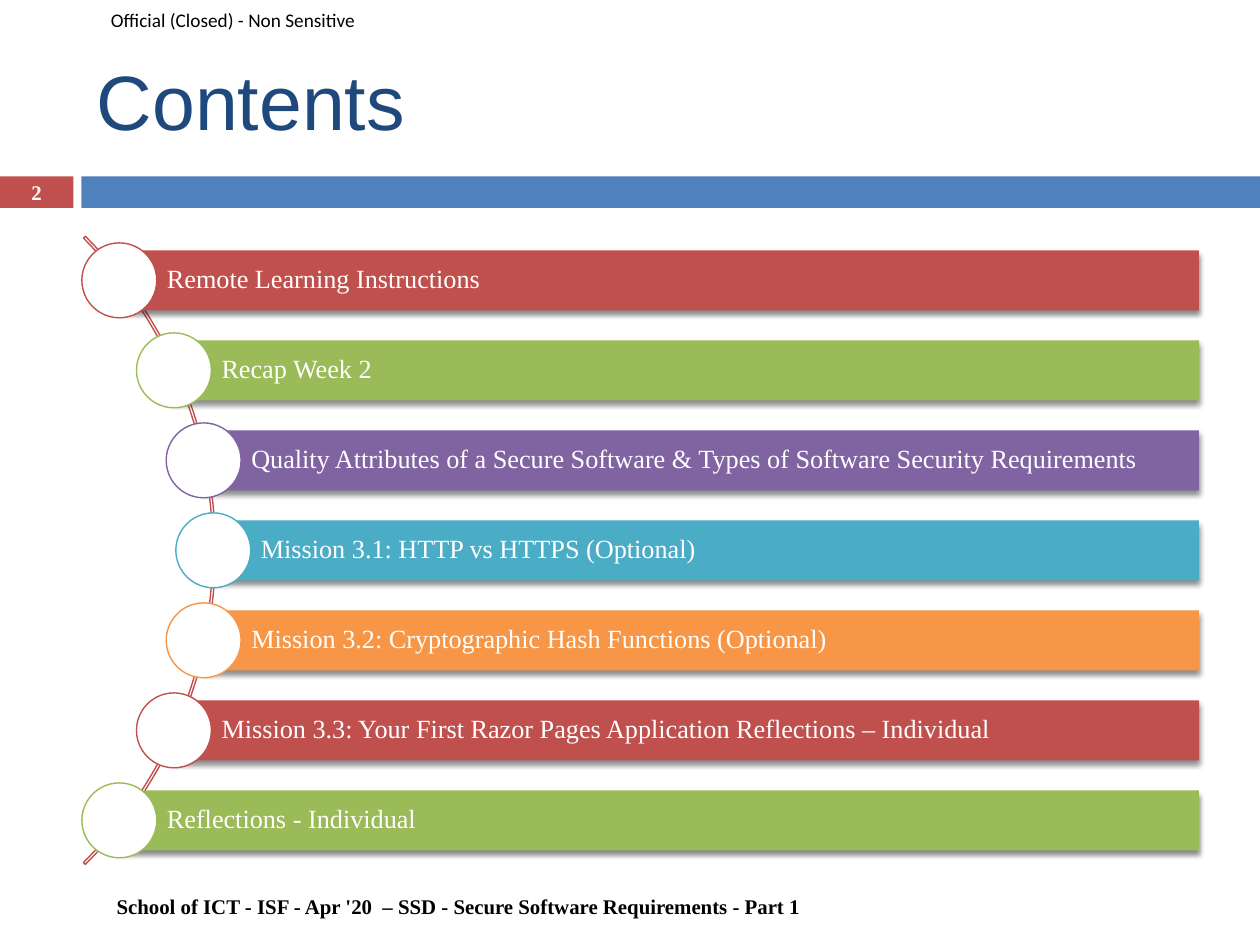
"""Build the contents slide with a curved list of seven topics."""
from pptx import Presentation
from pptx.dml.color import RGBColor as Rgb
from pptx.enum.shapes import MSO_SHAPE as Kind
from pptx.enum.text import MSO_ANCHOR as Anchor, PP_ALIGN as Align
from pptx.oxml import parse_xml
from pptx.util import Pt

HUES = {
    "red": "C0504D", "green": "9BBB59", "purple": "8064A2", "teal": "4BACC6",
    "orange": "F79646", "blue": "4F81BD", "navy": "1F497D",
    "white": "FFFFFF", "black": "000000",
}
TOPICS = [
    ("Remote Learning Instructions", "red"),
    ("Recap Week 2", "green"),
    ("Quality Attributes of a Secure Software & Types of Software Security Requirements", "purple"),
    ("Mission 3.1: HTTP vs HTTPS (Optional)", "teal"),
    ("Mission 3.2: Cryptographic Hash Functions (Optional)", "orange"),
    ("Mission 3.3: Your First Razor Pages Application Reflections – Individual", "red"),
    ("Reflections - Individual", "green"),
]
SERIF = "Times New Roman"
LABELS = [
    ("Official (Closed) - Non Sensitive", (63.4, 0, 153.3, 22.3), 11, "Calibri", "black", False, Align.LEFT, (0, 0, 0, 0)),
    ("Contents", (48.2, 18, 642.2, 77.8), 44, "Arial", "navy", False, Align.LEFT, (7.2, 3.6, 7.2, 3.6)),
    ("2", (0, 100.1, 41.8, 19.4), 11.9, SERIF, "white", True, Align.CENTER, (7.2, 3.6, 7.2, 3.6)),
    ("School of ICT - ISF - Apr '20  – SSD - Secure Software Requirements - Part 1",
     (48.2, 503.3, 427, 28.8), 11.9, SERIF, "black", True, Align.CENTER, (7.2, 3.6, 7.2, 3.6)),
]
MID, PITCH = 314.5, 51.43
EDGES = [68.2, 99.4, 116.4, 121.9]
RIGHT, TALL, DOT = 685.2, 34.3, 42.8
ARC, ARC_X = 507.6, -384.5
NS = "http://schemas.openxmlformats.org/drawingml/2006/main"
SHADOW = (
    f'<a:effectLst xmlns:a="{NS}"><a:outerShdw blurRad="38100" dist="30480" dir="5400000" '
    'rotWithShape="0"><a:srgbClr val="000000"><a:alpha val="45000"/></a:srgbClr>'
    '</a:outerShdw></a:effectLst>'
)


def tint(name):
    return Rgb.from_string(HUES[name])


def draw(slide, kind, box, fill=None, line=None):
    shape = slide.shapes.add_shape(kind, *map(Pt, box))
    shape.shadow.inherit = False
    if fill:
        shape.fill.solid()
        shape.fill.fore_color.rgb = tint(fill)
    else:
        shape.fill.background()
    if line:
        shape.line.color.rgb = tint(line)
        shape.line.width = Pt(0.79)
    else:
        shape.line.fill.background()
    return shape


def write(shape, text, size, face, hue, bold, align, pads):
    frame = shape.text_frame
    frame.word_wrap = True
    frame.vertical_anchor = Anchor.MIDDLE
    frame.margin_left, frame.margin_top, frame.margin_right, frame.margin_bottom = map(Pt, pads)
    para = frame.paragraphs[0]
    para.alignment = align
    run = para.add_run()
    run.text = text
    font = run.font
    font.size, font.name, font.bold = Pt(size), face, bold
    font.color.rgb = tint(hue)
    return para


def main():
    deck = Presentation()
    deck.slide_width, deck.slide_height = Pt(720), Pt(540)
    slide = deck.slides.add_slide(deck.slide_layouts[6])

    draw(slide, Kind.RECTANGLE, (0, 100.8, 42, 18), "red")
    draw(slide, Kind.RECTANGLE, (46.5, 100.8, 673.5, 18), "blue")
    for text, box, *style in LABELS:
        write(slide.shapes.add_textbox(*map(Pt, box)), text, *style)

    arc = draw(slide, Kind.BLOCK_ARC, (ARC_X, MID - ARC / 2, ARC, ARC), line="red")
    for slot, value in enumerate((189, 27, 0.003)):
        arc.adjustments[slot] = value

    last = len(TOPICS) - 1
    for row, (text, hue) in enumerate(TOPICS):
        left = EDGES[min(row, last - row)]
        mid = MID + (row - last / 2) * PITCH
        bar = draw(slide, Kind.RECTANGLE, (left, mid - TALL / 2, RIGHT - left, TALL), hue)
        props = bar.element.spPr
        props.replace(props.find(f"{{{NS}}}effectLst"), parse_xml(SHADOW))
        para = write(bar, text, 15, SERIF, "white", False, Align.LEFT, (27.2, 3, 3, 3))
        para.line_spacing = 0.9
        draw(slide, Kind.OVAL, (left - DOT / 2, mid - DOT / 2, DOT, DOT), "white", hue)

    deck.save("out.pptx")


if __name__ == "__main__":
    main()
